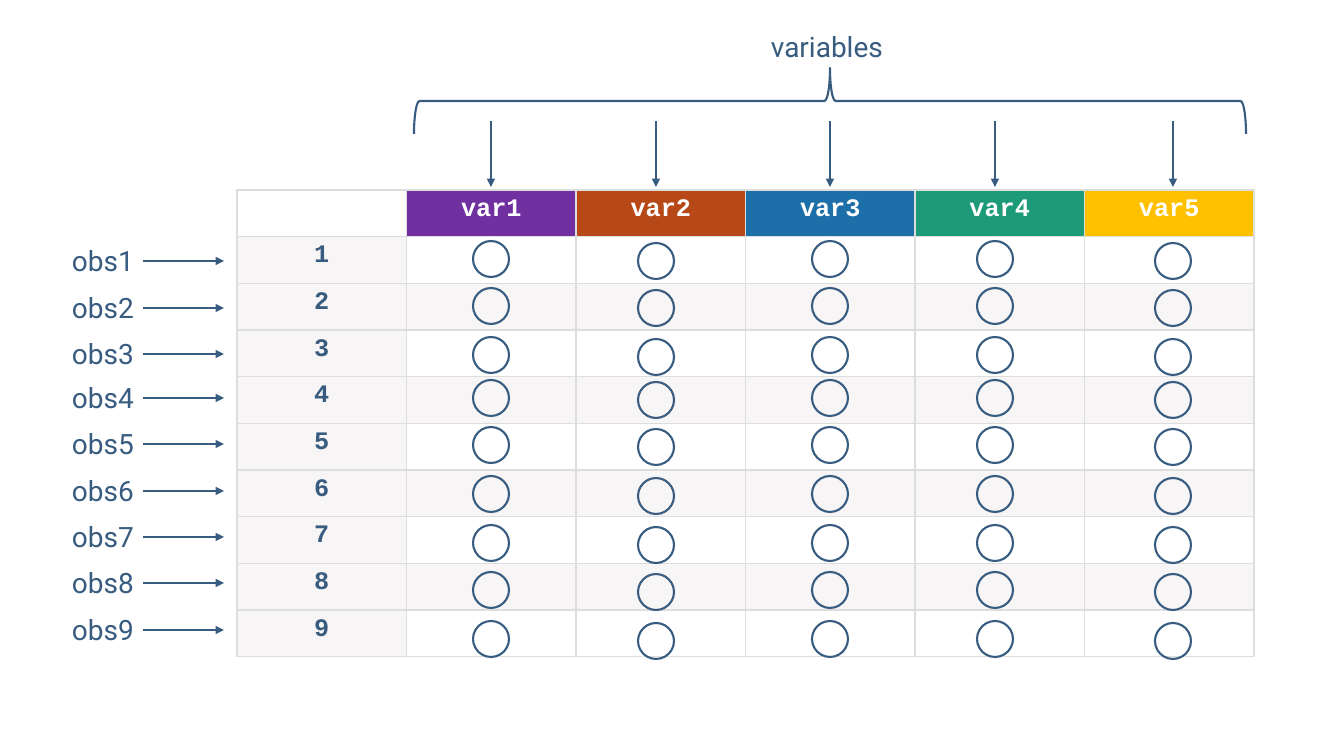
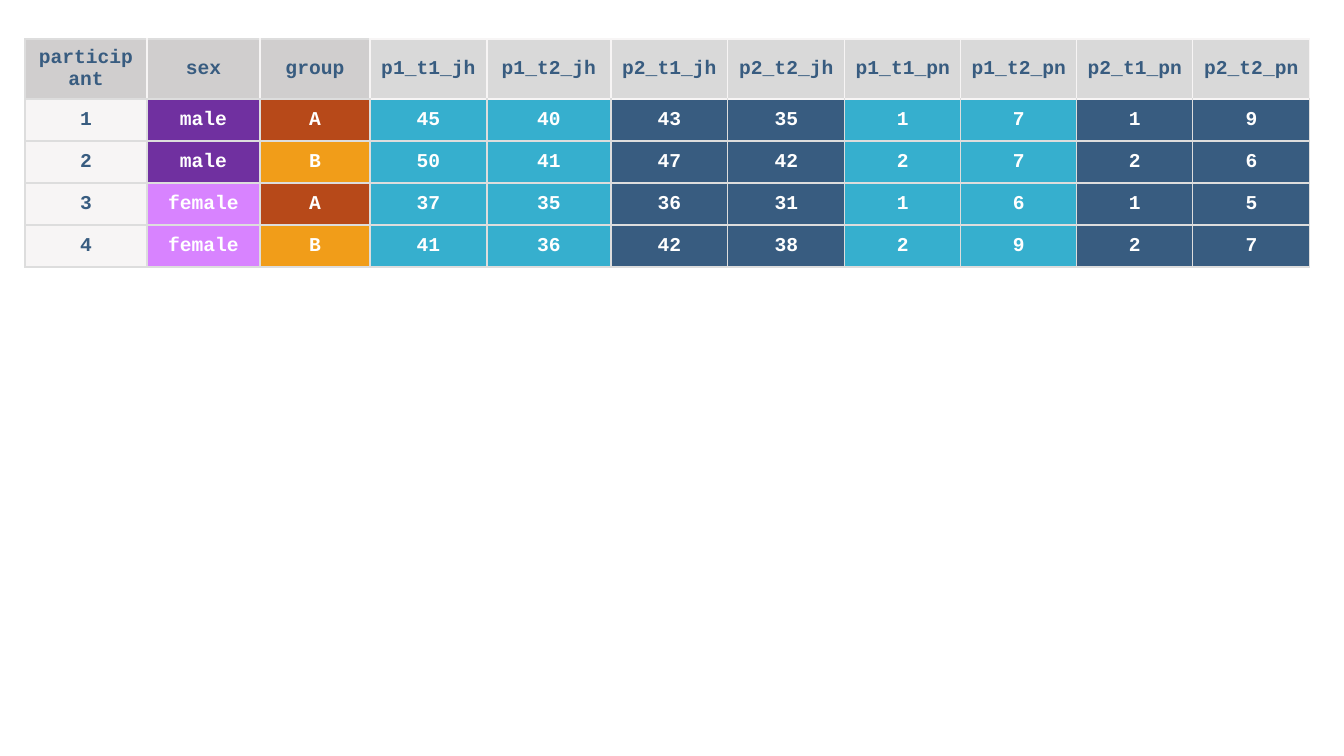
from dataclasses import dataclass

from lxml.etree import SubElement
from pptx import Presentation
from pptx.dml.color import RGBColor
from pptx.enum.shapes import MSO_CONNECTOR, MSO_SHAPE
from pptx.enum.text import MSO_ANCHOR, PP_ALIGN
from pptx.oxml import parse_xml
from pptx.oxml.ns import nsdecls, qn
from pptx.util import Pt

# Content: variables and observations
VARIABLES = [("var1", "7030A0"), ("var2", "B74919"), ("var3", "1D6FA9"),
             ("var4", "1D9A78"), ("var5", "FFC000")]
OBSERVATIONS = [f"obs{number}" for number in range(1, 10)]

# Content: participant data in wide format
ATTRIBUTES = ["participant", "sex", "group"]
MEASURES = ["p1_t1_jh", "p1_t2_jh", "p2_t1_jh", "p2_t2_jh",
            "p1_t1_pn", "p1_t2_pn", "p2_t1_pn", "p2_t2_pn"]
PARTICIPANTS = [
    ("1", "male", "A", 45, 40, 43, 35, 1, 7, 1, 9),
    ("2", "male", "B", 50, 41, 47, 42, 2, 7, 2, 6),
    ("3", "female", "A", 37, 35, 36, 31, 1, 6, 1, 5),
    ("4", "female", "B", 41, 36, 42, 38, 2, 9, 2, 7),
]
LEVEL_FILLS = {"male": "7030A0", "female": "D883FF", "A": "B74919", "B": "F19D19"}
PERIOD_FILLS = {"p1": "36AFCE", "p2": "385C80"}


@dataclass(frozen=True)
class Theme:
    ink: str = "385C80"
    white: str = "FFFFFF"
    band: str = "F7F5F5"
    rule: str = "DDDDDD"
    attribute_header: str = "D0CECE"
    measure_header: str = "D9D9D9"
    code_font: str = "Courier New"
    label_font: str = "Roboto"
    label_size: int = 20
    grid_size: int = 18
    data_size: int = 14
    stroke: float = 1.5


THEME = Theme()

# Layout, in pixels
EMU_PER_PX = 914400 / 100.8
SLIDE_SIZE = (1344, 756)
GRID_BOX = (237, 190, 1017, 467)
VARIABLE_CENTRES = [491, 656, 830, 995, 1173]
VARIABLE_DROPS = [0, 2, 0, 0, 2]
VALUE_CENTRES = [259, 306, 355, 398, 445, 494, 543, 590, 639]
VALUE_SIZE = 36
OBSERVATION_CENTRES = [261, 308, 354, 398, 444, 491, 537, 583, 630]
LABEL_SIZE = (162, 44)
BRACE_CENTRE, BRACE_DEPTH, BRACE_SPAN = (830, 101), 66, 832
DATA_ORIGIN = (25, 39)
DATA_COLUMNS = [122, 113, 110, 117, 124, 117, 117, 116, 116, 116, 117]
DATA_ROWS = [60] + [42] * len(PARTICIPANTS)


def px(length):
    return round(length * EMU_PER_PX)


def rgb(colour):
    return RGBColor.from_string(colour)


def style_text(paragraph, font_name, size, colour, bold=False):
    paragraph.alignment = PP_ALIGN.CENTER
    paragraph.font.name = font_name
    paragraph.font.size = Pt(size)
    paragraph.font.bold = bold
    paragraph.font.color.rgb = rgb(colour)


# Tables
def add_grid(slide, left, top, widths, heights):
    table = slide.shapes.add_table(len(heights), len(widths), px(left), px(top),
                                   px(sum(widths)), px(sum(heights))).table
    table.first_row = table.horz_banding = False
    for column, width in zip(table.columns, widths):
        column.width = px(width)
    for row, height in zip(table.rows, heights):
        row.height = px(height)
    return table


def fill_cell(cell, text, fill, colour, size, borders=(THEME.rule,) * 4,
              anchor=MSO_ANCHOR.TOP):
    """Borders run left, right, top, bottom."""
    cell.fill.solid()
    cell.fill.fore_color.rgb = rgb(fill)
    cell.vertical_anchor = anchor
    cell.text = str(text)
    style_text(cell.text_frame.paragraphs[0], THEME.code_font, size, colour, bold=True)
    properties = cell._tc.get_or_add_tcPr()
    for position, (side, border) in enumerate(zip("LRTB", borders)):
        properties.insert(position, parse_xml(
            f'<a:ln{side} {nsdecls("a")} w="{Pt(1)}"><a:solidFill>'
            f'<a:srgbClr val="{border}"/></a:solidFill></a:ln{side}>'))


# Diagram parts
def add_arrow(slide, start, end):
    arrow = slide.shapes.add_connector(MSO_CONNECTOR.STRAIGHT,
                                       *map(px, start), *map(px, end))
    arrow.line.color.rgb = rgb(THEME.ink)
    arrow.line.width = Pt(THEME.stroke)
    SubElement(arrow.line._get_or_add_ln(), qn("a:tailEnd"), type="triangle")
    SubElement(arrow._element.spPr, qn("a:effectLst"))


def add_outline(slide, preset, centre, width, height):
    outline = slide.shapes.add_shape(preset, px(centre[0] - width / 2),
                                     px(centre[1] - height / 2), px(width), px(height))
    outline.shadow.inherit = False
    outline.fill.background()
    outline.line.color.rgb = rgb(THEME.ink)
    outline.line.width = Pt(THEME.stroke)
    return outline


def add_label(slide, text, left, top):
    frame = slide.shapes.add_textbox(px(left), px(top), *map(px, LABEL_SIZE)).text_frame
    frame.word_wrap = True
    frame.text = text
    style_text(frame.paragraphs[0], THEME.label_font, THEME.label_size, THEME.ink)


def build_structure_slide(slide):
    # Table with banded rows
    left, top, width, height = GRID_BOX
    columns, rows = len(VARIABLES) + 1, len(OBSERVATIONS) + 1
    grid = add_grid(slide, left, top, [width / columns] * columns, [height / rows] * rows)
    for column, (name, fill) in enumerate([("", THEME.white)] + VARIABLES):
        fill_cell(grid.cell(0, column), name, fill, THEME.white, THEME.grid_size)
        for row in range(1, rows):
            banded = column == 0 or row % 2 == 0
            fill_cell(grid.cell(row, column), "" if column else row,
                      THEME.band if banded else THEME.white, THEME.ink, THEME.grid_size)

    # Variables: arrows, label and brace above the table
    for x in VARIABLE_CENTRES:
        add_arrow(slide, (x, 121), (x, 187))
    add_label(slide, "variables", 746, 25)
    brace = add_outline(slide, MSO_SHAPE.LEFT_BRACE, BRACE_CENTRE, BRACE_DEPTH, BRACE_SPAN)
    brace.rotation = 90

    # Observations: labels and arrows beside the table
    for name, y in zip(OBSERVATIONS, OBSERVATION_CENTRES):
        add_label(slide, name, 22, y - LABEL_SIZE[1] / 2)
        add_arrow(slide, (143, y), (224, y))

    # Values: one circle in each cell
    for y in VALUE_CENTRES:
        for x, drop in zip(VARIABLE_CENTRES, VARIABLE_DROPS):
            add_outline(slide, MSO_SHAPE.OVAL, (x, y + drop), VALUE_SIZE, VALUE_SIZE)


def build_data_slide(slide):
    data = add_grid(slide, *DATA_ORIGIN, DATA_COLUMNS, DATA_ROWS)
    rule, band = THEME.rule, THEME.band

    # Header row
    for column, name in enumerate(ATTRIBUTES + MEASURES):
        if name in ATTRIBUTES:
            fill = THEME.attribute_header
            borders = (band if column else rule, band, rule, rule)
        else:
            fill, borders = THEME.measure_header, (band,) * 4
        fill_cell(data.cell(0, column), name, fill, THEME.ink, THEME.data_size,
                  borders, MSO_ANCHOR.MIDDLE)

    # Participants
    for row, (number, sex, group, *scores) in enumerate(PARTICIPANTS, start=1):
        fills = [band, LEVEL_FILLS[sex], LEVEL_FILLS[group]]
        fills += [PERIOD_FILLS[measure[:2]] for measure in MEASURES]
        for column, (value, fill) in enumerate(zip([number, sex, group, *scores], fills)):
            below_measure = row == 1 and column >= len(ATTRIBUTES)
            fill_cell(data.cell(row, column), value, fill,
                      THEME.white if column else THEME.ink, THEME.data_size,
                      (rule, rule, band if below_measure else rule, rule),
                      MSO_ANCHOR.MIDDLE)


# Presentation
deck = Presentation()
deck.slide_width, deck.slide_height = map(px, SLIDE_SIZE)
for build_slide in (build_structure_slide, build_data_slide):
    build_slide(deck.slides.add_slide(deck.slide_layouts[6]))
deck.save("out.pptx")
